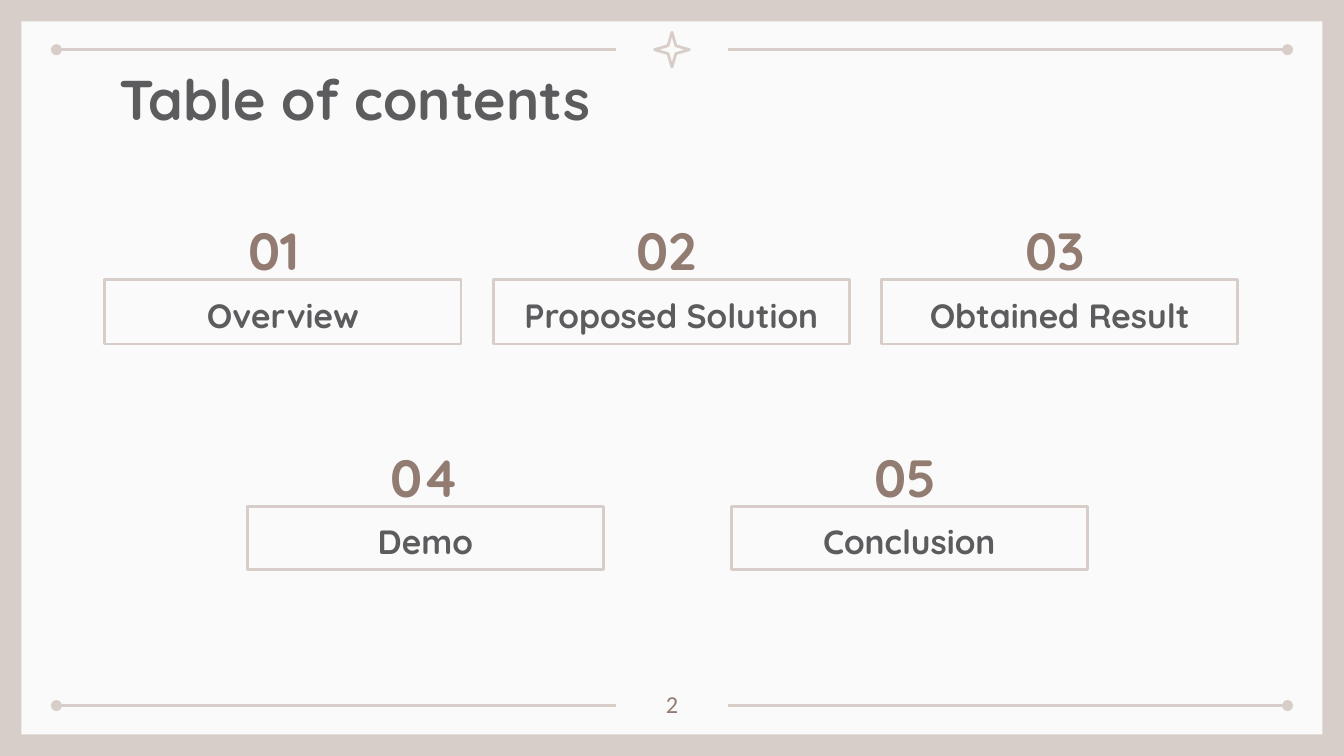
from dataclasses import dataclass

import pptx
import pptx.dml.color
import pptx.enum.shapes
import pptx.enum.text
import pptx.oxml
import pptx.oxml.ns
import pptx.util
from pptx.util import Inches

RGBColor = pptx.dml.color.RGBColor
MSO_SHAPE = pptx.enum.shapes.MSO_SHAPE
ALIGN = pptx.enum.text.PP_ALIGN
ANCHOR = pptx.enum.text.MSO_ANCHOR

SAND = RGBColor(0xD8, 0xCE, 0xC9)
PAPER = RGBColor(0xFA, 0xFA, 0xFA)
INK = RGBColor(0x5C, 0x5C, 0x5F)
BROWN = RGBColor(0x92, 0x7C, 0x71)

WIDTH = 10
HEIGHT = WIDTH * 9 / 16
MARGIN = 0.16
TOP_RULE, BOTTOM_RULE = 0.37, 5.25
STAR_SIZE = 0.26
ENTRY_WIDTH = 2.65


@dataclass
class Style:
    size: float
    color: RGBColor
    font: str = "Quicksand"
    bold: bool = True
    align: ALIGN = ALIGN.LEFT
    anchor: ANCHOR = ANCHOR.MIDDLE
    spacing: float = 1.0


@dataclass
class Row:
    left: float
    top: float
    pitch: float
    height: float
    labels: list[str]


TITLE = Style(30, INK, anchor=ANCHOR.TOP)
NUMBER = Style(28, BROWN, spacing=1.15)
LABEL = Style(18, INK, align=ALIGN.CENTER, spacing=1.15)
PAGE_NUMBER = Style(13, BROWN, "Calibri", False, ALIGN.CENTER, ANCHOR.TOP)

ROWS = [
    Row(0.78, 2.08, 2.89, 0.48, ["Overview", "Proposed Solution", "Obtained Result"]),
    Row(1.84, 3.77, 3.6, 0.47, ["Demo", "Conclusion"]),
]


def write(shape, text: str, style: Style) -> None:
    frame = shape.text_frame
    frame.text = text
    frame.word_wrap = True
    frame.vertical_anchor = style.anchor
    frame.margin_left = frame.margin_right = Inches(0.1)
    frame.margin_top = frame.margin_bottom = Inches(0.1)
    para = frame.paragraphs[0]
    para.alignment = style.align
    para.line_spacing = style.spacing
    font = para.runs[0].font
    font.name, font.size, font.bold = style.font, pptx.util.Pt(style.size), style.bold
    font.color.rgb = style.color


def add_text(page, left: float, top: float, width: float, height: float,
             text: str, style: Style) -> None:
    box = page.shapes.add_textbox(Inches(left), Inches(top), Inches(width), Inches(height))
    write(box, text, style)


def add_outline(page, kind: MSO_SHAPE, left: float, top: float, width: float, height: float):
    """Add an unfilled shape with a sand-coloured border."""
    shape = page.shapes.add_shape(
        kind, Inches(left), Inches(top), Inches(width), Inches(height))
    shape.shadow.inherit = False
    shape.fill.background()
    shape.line.color.rgb = SAND
    shape.line.width = pptx.util.Pt(1.5)
    return shape


def add_rule(page, start: float, end: float, y: float, dotted_end: str) -> None:
    """Add a horizontal line with a dot at its headEnd or tailEnd."""
    rule = page.shapes.add_connector(
        pptx.enum.shapes.MSO_CONNECTOR.STRAIGHT,
        Inches(start), Inches(y), Inches(end), Inches(y))
    rule.line.color.rgb = SAND
    rule.line.width = pptx.util.Pt(1.5)
    qn = pptx.oxml.ns.qn
    properties = rule._element.spPr
    outline = properties.find(qn("a:ln"))
    outline.append(outline.makeelement(qn(f"a:{dotted_end}"), {"type": "oval"}))
    properties.append(properties.makeelement(qn("a:effectLst"), {}))


def add_frame(page) -> None:
    page.background.fill.solid()
    page.background.fill.fore_color.rgb = SAND
    panel = page.shapes.add_shape(
        MSO_SHAPE.RECTANGLE, Inches(MARGIN), Inches(MARGIN),
        Inches(WIDTH - 2 * MARGIN), Inches(HEIGHT - 2 * MARGIN))
    panel.shadow.inherit = False
    panel.fill.solid()
    panel.fill.fore_color.rgb = PAPER
    panel.line.fill.background()
    for y in (TOP_RULE, BOTTOM_RULE):
        add_rule(page, 0.42, 4.58, y, "headEnd")
        add_rule(page, 5.42, 9.58, y, "tailEnd")
    star = add_outline(page, MSO_SHAPE.STAR_4_POINT, (WIDTH - STAR_SIZE) / 2,
                       TOP_RULE - STAR_SIZE / 2, STAR_SIZE, STAR_SIZE)
    star.adjustments[0] = 0.16


def add_entries(page) -> None:
    number = 0
    for row in ROWS:
        for column, label in enumerate(row.labels):
            number += 1
            left = row.left + column * row.pitch
            add_text(page, left + 0.97, row.top - 0.5, 0.72, 0.48, f"{number:02}", NUMBER)
            box = add_outline(page, MSO_SHAPE.RECTANGLE, left, row.top, ENTRY_WIDTH, row.height)
            write(box, label, LABEL)


def main() -> None:
    deck = pptx.Presentation()
    deck.slide_width, deck.slide_height = Inches(WIDTH), Inches(HEIGHT)
    page = deck.slides.add_slide(deck.slide_layouts[6])
    add_frame(page)
    add_text(page, 0.79, 0.38, 8.43, 0.63, "Table of contents", TITLE)
    add_entries(page)
    add_text(page, 4.7, 5.03, 0.6, 0.36, "2", PAGE_NUMBER)
    deck.save("out.pptx")


if __name__ == "__main__":
    main()
